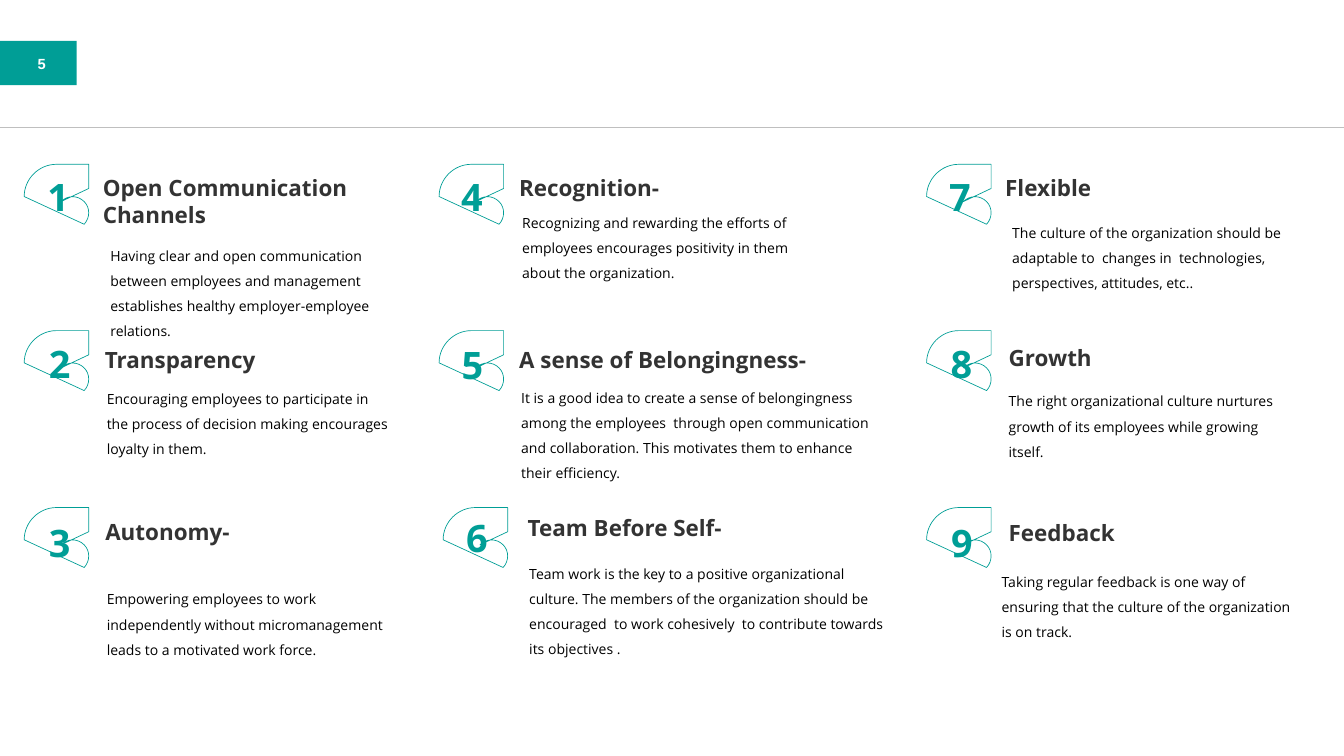
from dataclasses import dataclass

import pptx
import pptx.dml.color
import pptx.enum.shapes
import pptx.enum.text
import pptx.oxml
import pptx.oxml.ns
import pptx.util
from lxml import etree
from pptx.util import Inches


@dataclass(frozen=True)
class Theme:
    teal: str = "009E96"
    dark: str = "333333"
    black: str = "000000"
    white: str = "FFFFFF"
    grey: str = "BFBFBF"
    font: str = "Open Sans"
    plain: str = "Arial"
    digit: int = 54
    head: int = 32
    body: int = 20
    page: int = 21


@dataclass(frozen=True)
class Trait:
    head: str
    body: str
    head_box: tuple  # left, top, width, height
    body_box: tuple
    digit: tuple  # offset of the digit from its leaf
    shift: float = 0  # leaf's offset from its column
    level: int = 0  # indent level of the body


THEME = Theme()
COLS = (0.48, 8.71, 18.38)
ROWS = (3.26, 6.56, 10.07)

# Leaf outline: one point is a line, three points are a curve
LEAF_SIZE = 1.28
LEAF_START = (0, 0.64)
LEAF = (
    ((0, 0.29), (0.29, 0), (0.64, 0)),
    ((1.28, 0),),
    ((1.28, 0.48),),
    ((0.73, 0.74),),
    ((0.86, 0.61), (1.06, 0.61), (1.19, 0.74)),
    ((1.31, 0.86), (1.31, 1.06), (1.19, 1.19)),
)

# Traits run down each column in turn
TRAITS = (
    Trait("Open Communication Channels",
          "Having clear and open communication between employees and management "
          "establishes healthy employer-employee relations.",
          (1.94, 3.4, 5.74, 1.17), (2.09, 4.69, 5.65, 2.1), (0.36, 0.14)),
    Trait("Transparency",
          "Encouraging employees to participate in the process of decision making "
          "encourages loyalty in them.",
          (1.98, 6.81, 5.49, 0.64), (2.02, 7.53, 5.81, 1.6), (0.39, 0.16)),
    Trait("Autonomy-",
          "Empowering employees to work independently without micromanagement  "
          "leads to a motivated work force.",
          (1.99, 10.24, 7.52, 0.64), (2.02, 11.51, 6.07, 1.6), (0.39, 0.2)),
    Trait("Recognition-",
          "Recognizing and rewarding the efforts of employees encourages positivity "
          "in them about the organization.",
          (10.2, 3.4, 9.59, 0.64), (9.76, 4.04, 6.73, 1.6), (0.34, 0.13), level=1),
    Trait("A sense of Belongingness-",
          "It is a good idea to create a sense of belongingness among the employees  "
          "through open communication and collaboration. This motivates them to "
          "enhance their efficiency.",
          (10.2, 6.81, 7.89, 0.64), (10.24, 7.51, 7.36, 2.1), (0.35, 0.17)),
    Trait("Team Before Self-",
          "Team work is the key to a positive organizational culture. The members of "
          "the organization should be encouraged  to work cohesively  to contribute "
          "towards its objectives .",
          (10.37, 10.15, 7.89, 0.64), (10.4, 11, 7.36, 2.1), (0.36, 0.1), 0.08),
    Trait("Flexible",
          "The culture of the organization should be adaptable to  changes in  "
          "technologies, perspectives, attitudes, etc..",
          (19.84, 3.4, 5.74, 0.64), (19.98, 4.23, 5.65, 1.6), (0.35, 0.14)),
    Trait("Growth",
          "The right organizational culture nurtures growth of its employees while "
          "growing itself.",
          (19.91, 6.78, 6.23, 0.64), (19.91, 7.58, 5.81, 1.6), (0.38, 0.16)),
    Trait("Feedback",
          "Taking regular feedback is one way of ensuring that the culture of the "
          "organization is on track.",
          (19.91, 10.25, 4.81, 0.64), (19.77, 11.16, 6.07, 1.6), (0.39, 0.2)),
)


def rgb(code):
    return pptx.dml.color.RGBColor.from_string(code)


def add_text(slide, text, box, size, color, bold=False, wrap=True,
             font=THEME.font, space=None, level=0):
    shape = slide.shapes.add_textbox(*map(Inches, box))
    frame = shape.text_frame
    frame.text = text
    frame.word_wrap = wrap
    frame.auto_size = pptx.enum.text.MSO_AUTO_SIZE.SHAPE_TO_FIT_TEXT
    para = frame.paragraphs[0]
    para.line_spacing = space
    para.level = level
    face = para.runs[0].font
    face.name, face.size, face.bold = font, pptx.util.Pt(size), bold
    face.color.rgb = rgb(color)
    return frame


def add_leaf(slide, left, top):
    pen = slide.shapes.build_freeform(
        Inches(left + LEAF_START[0]), Inches(top + LEAF_START[1]))
    pen.add_line_segments(
        [(Inches(left + part[-1][0]), Inches(top + part[-1][1])) for part in LEAF],
        close=True)
    leaf = pen.convert_to_shape()
    leaf.height = Inches(LEAF_SIZE)
    leaf.shadow.inherit = False
    leaf.fill.background()
    leaf.line.color.rgb = rgb(THEME.teal)
    leaf.line.width = pptx.util.Pt(1)

    # Bend the curved parts of the outline
    name = pptx.oxml.ns.qn
    outline = leaf._element.spPr.find(".//" + name("a:path"))
    outline.set("h", str(Inches(LEAF_SIZE)))
    for line, part in zip(outline.findall(name("a:lnTo")), LEAF):
        if len(part) == 3:
            bend = etree.Element(name("a:cubicBezTo"))
            for x, y in part:
                etree.SubElement(bend, name("a:pt"),
                                 x=str(Inches(x)), y=str(Inches(y)))
            outline.replace(line, bend)


def add_page(slide, number):
    tab = slide.shapes.add_shape(
        pptx.enum.shapes.MSO_SHAPE.RECTANGLE,
        *map(Inches, (0, 0.81, 1.52, 0.88)))
    tab.shadow.inherit = False
    tab.fill.solid()
    tab.fill.fore_color.rgb = rgb(THEME.teal)
    tab.line.fill.background()
    frame = add_text(slide, number, (-0.08, 0.98, 1.81, 0.55), THEME.page,
                     THEME.white, bold=True, wrap=False, font=THEME.plain)
    frame.margin_left = frame.margin_right = Inches(0.2)
    frame.margin_top = frame.margin_bottom = Inches(0.1)
    frame.paragraphs[0].alignment = pptx.enum.text.PP_ALIGN.CENTER


def add_rule(slide, top, width):
    rule = slide.shapes.add_connector(
        pptx.enum.shapes.MSO_CONNECTOR.STRAIGHT,
        width, Inches(top), 0, Inches(top))
    rule.line.color.rgb = rgb(THEME.grey)
    rule.line.width = pptx.util.Pt(0.5)
    props = rule._element.spPr
    props.append(pptx.oxml.parse_xml(
        '<a:effectLst xmlns:a='
        '"http://schemas.openxmlformats.org/drawingml/2006/main"/>'))


def add_trait(slide, index, trait):
    col, row = divmod(index, len(ROWS))
    left, top = COLS[col] + trait.shift, ROWS[row]
    add_leaf(slide, left, top)
    add_text(slide, str(index + 1),
             (left + trait.digit[0], top + trait.digit[1], 0.63, 1),
             THEME.digit, THEME.teal, bold=True, wrap=False)
    add_text(slide, trait.head, trait.head_box, THEME.head, THEME.dark, bold=True)
    add_text(slide, trait.body, trait.body_box, THEME.body, THEME.black,
             space=1.5, level=trait.level)


def main():
    deck = pptx.Presentation()
    deck.slide_width, deck.slide_height = Inches(26.66), Inches(15)
    slide = deck.slides.add_slide(deck.slide_layouts[6])

    # Page tab and header rule
    add_page(slide, "5")
    add_rule(slide, 2.52, deck.slide_width)

    # Nine numbered traits
    for index, trait in enumerate(TRAITS):
        add_trait(slide, index, trait)

    deck.save("out.pptx")


if __name__ == "__main__":
    main()
